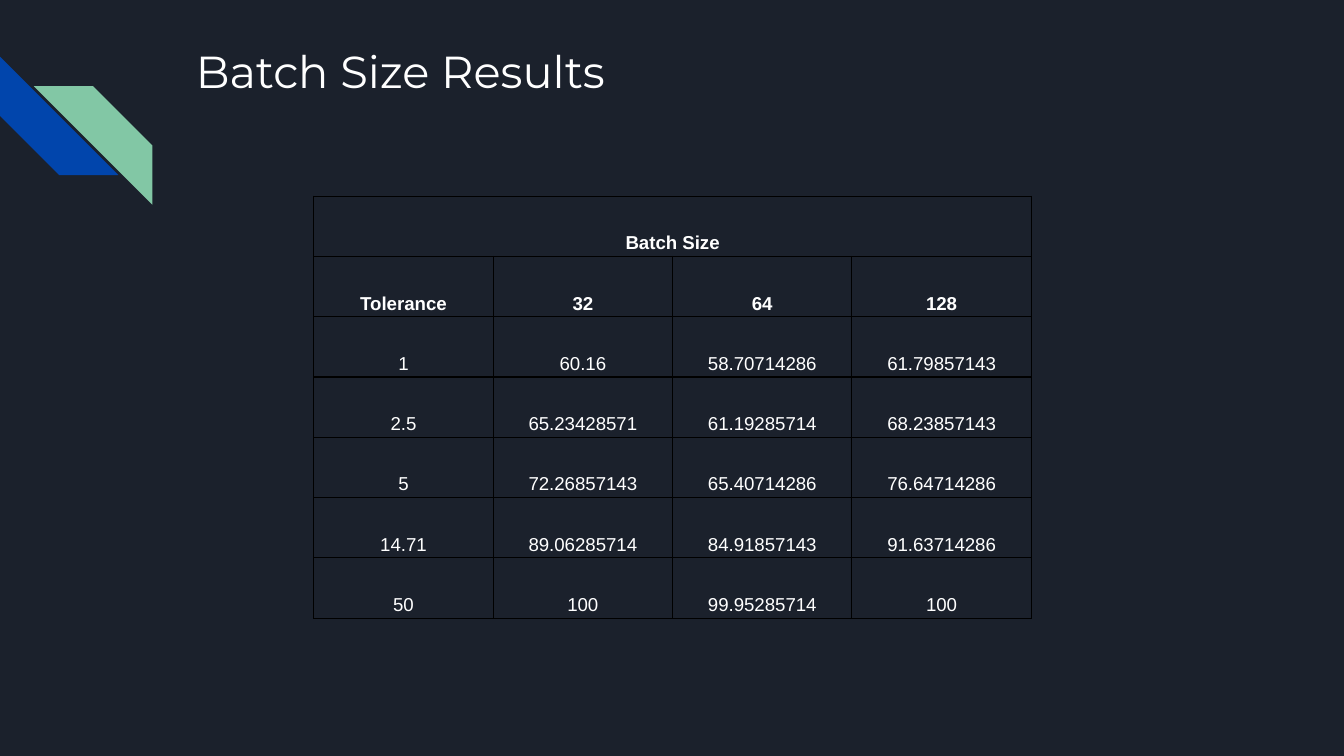
from dataclasses import dataclass

import lxml.etree
import pptx
import pptx.dml.color
import pptx.enum.shapes
import pptx.enum.text
import pptx.oxml.ns
import pptx.slide
import pptx.table
import pptx.util
from pptx.util import Cm

BACKGROUND = pptx.dml.color.RGBColor(0x1B, 0x21, 0x2C)
BLUE = pptx.dml.color.RGBColor(0x01, 0x45, 0xAC)
GREEN = pptx.dml.color.RGBColor(0x82, 0xC7, 0xA5)
WHITE = pptx.dml.color.RGBColor(0xFF, 0xFF, 0xFF)
BLACK = pptx.dml.color.RGBColor(0x00, 0x00, 0x00)

STRIPE_SIZE = Cm(2.24)
COLUMN_WIDTH = Cm(3.39)
ROW_HEIGHT = Cm(1.14)
BORDER_WIDTH = pptx.util.Pt(0.68)
HEADER_ROWS = 2

RESULTS = [
    ["Batch Size", "", "", ""],
    ["Tolerance", "32", "64", "128"],
    ["1", "60.16", "58.70714286", "61.79857143"],
    ["2.5", "65.23428571", "61.19285714", "68.23857143"],
    ["5", "72.26857143", "65.40714286", "76.64714286"],
    ["14.71", "89.06285714", "84.91857143", "91.63714286"],
    ["50", "100", "99.95285714", "100"],
]


@dataclass
class Stripe:
    left: float
    top: float
    color: pptx.dml.color.RGBColor
    rotation: float = 0
    mirrored: bool = False


STRIPES = [
    Stripe(0, 1.07, BLUE, rotation=270),
    Stripe(0.64, 1.63, GREEN, mirrored=True),
]


def draw_stripe(slide: pptx.slide.Slide, stripe: Stripe) -> None:
    shape = slide.shapes.add_shape(
        pptx.enum.shapes.MSO_SHAPE.DIAGONAL_STRIPE,
        Cm(stripe.left), Cm(stripe.top), STRIPE_SIZE, STRIPE_SIZE)
    shape.adjustments[0] = 0.5
    shape.rotation = stripe.rotation
    shape.shadow.inherit = False
    shape.fill.solid()
    shape.fill.fore_color.rgb = stripe.color
    shape.line.fill.background()
    if stripe.mirrored:
        shape.element.spPr.xfrm.set("flipH", "1")


def draw_title(slide: pptx.slide.Slide, text: str) -> None:
    title = slide.shapes.title
    title.left, title.top, title.width, title.height = Cm(3.45), Cm(0.58), Cm(19.56), Cm(2.54)
    frame = title.text_frame
    frame.text = text
    frame.word_wrap = True
    frame.auto_size = pptx.enum.text.MSO_AUTO_SIZE.NONE
    frame.vertical_anchor = pptx.enum.text.MSO_ANCHOR.TOP
    frame.margin_left = frame.margin_right = Cm(0.25)
    frame.margin_top = frame.margin_bottom = Cm(0.25)
    paragraph = frame.paragraphs[0]
    paragraph.alignment = pptx.enum.text.PP_ALIGN.LEFT
    paragraph.line_spacing = 1.0
    paragraph.font.name = "Montserrat"
    paragraph.font.size = pptx.util.Pt(24)
    paragraph.font.color.rgb = WHITE


def add_borders(cell: pptx.table._Cell) -> None:
    qn = pptx.oxml.ns.qn
    properties = cell._tc.get_or_add_tcPr()
    for side in ("lnL", "lnR", "lnT", "lnB"):
        line = lxml.etree.SubElement(properties, qn(f"a:{side}"), w=str(BORDER_WIDTH))
        fill = lxml.etree.SubElement(line, qn("a:solidFill"))
        lxml.etree.SubElement(fill, qn("a:srgbClr"), val=str(BLACK))


def format_cell(cell: pptx.table._Cell, text: str, bold: bool) -> None:
    add_borders(cell)
    cell.fill.background()
    cell.vertical_anchor = pptx.enum.text.MSO_ANCHOR.BOTTOM
    cell.margin_left = cell.margin_right = Cm(0.08)
    cell.margin_top = cell.margin_bottom = Cm(0.05)
    cell.text = text
    paragraph = cell.text_frame.paragraphs[0]
    paragraph.alignment = pptx.enum.text.PP_ALIGN.CENTER
    paragraph.line_spacing = 1.15
    paragraph.font.name = "Arial"
    paragraph.font.size = pptx.util.Pt(10)
    paragraph.font.bold = bold
    paragraph.font.color.rgb = WHITE


def draw_results(slide: pptx.slide.Slide, results: list[list[str]]) -> None:
    row_count, column_count = len(results), len(results[0])
    table = slide.shapes.add_table(
        row_count, column_count, Cm(5.93), Cm(3.71),
        COLUMN_WIDTH * column_count, ROW_HEIGHT * row_count).table
    table.first_row = False
    table.horz_banding = False
    for row_index, values in enumerate(results):
        for column_index, value in enumerate(values):
            format_cell(table.cell(row_index, column_index), value, row_index < HEADER_ROWS)
    # The heading spans every column
    table.cell(0, 0).merge(table.cell(0, column_count - 1))


def main() -> None:
    presentation = pptx.Presentation()
    presentation.slide_width = Cm(25.4)
    presentation.slide_height = Cm(14.29)
    slide = presentation.slides.add_slide(presentation.slide_layouts.get_by_name("Title Only"))

    # Background and corner decoration
    slide.background.fill.solid()
    slide.background.fill.fore_color.rgb = BACKGROUND
    for stripe in STRIPES:
        draw_stripe(slide, stripe)

    # Title and results
    draw_title(slide, "Batch Size Results")
    draw_results(slide, RESULTS)

    presentation.save("out.pptx")


if __name__ == "__main__":
    main()
